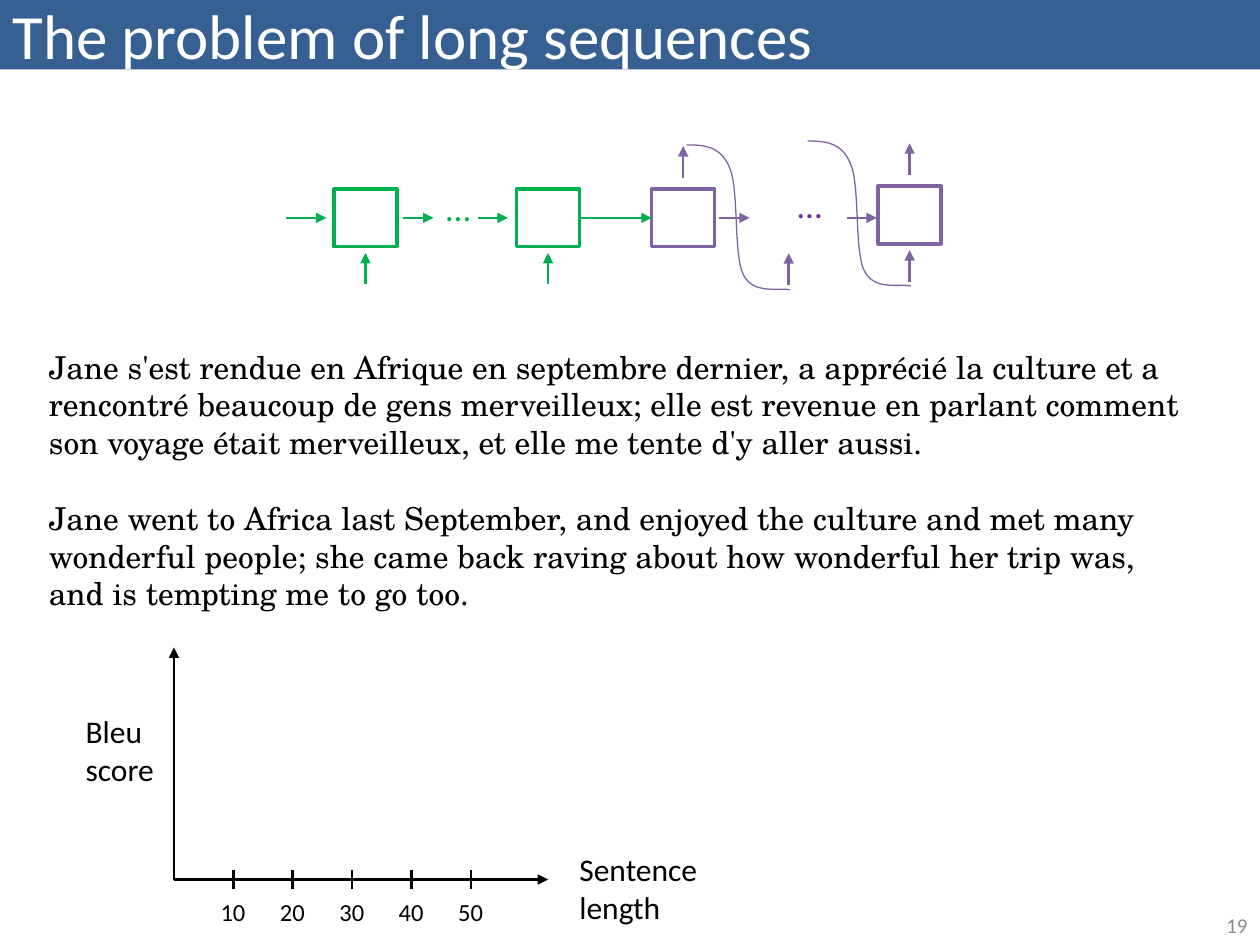
from dataclasses import dataclass

from lxml import etree
from pptx import Presentation
from pptx.dml.color import RGBColor
from pptx.enum.shapes import MSO_CONNECTOR, MSO_SHAPE
from pptx.enum.text import MSO_ANCHOR, MSO_AUTO_SIZE, PP_ALIGN
from pptx.oxml.ns import qn
from pptx.util import Pt

STRAIGHT = MSO_CONNECTOR.STRAIGHT
RECTANGLE = MSO_SHAPE.RECTANGLE
MIDDLE = MSO_ANCHOR.MIDDLE
LEFT, RIGHT = PP_ALIGN.LEFT, PP_ALIGN.RIGHT
LEFT_SIDE, RIGHT_SIDE = 1, 3


@dataclass(frozen=True)
class Theme:
    banner: str = "376092"
    white: str = "FFFFFF"
    black: str = "000000"
    encoder: str = "00B050"
    decoder: str = "8064A2"
    decoder_dots: str = "7030A0"
    muted: str = "8C8C8C"
    sans: str = "Calibri"
    serif: str = "TeX Gyre Schola"
    title: int = 36
    dots: int = 20
    body: int = 18
    tick: int = 14
    page: int = 12
    box_line: float = 2
    arrow_line: float = 1.5
    curve_line: float = 0.75


THEME = Theme()
CELL_WIDTH, CELL_HEIGHT = 36, 33
FLOW_Y = 124.5

SENTENCES = (
    "Jane s'est rendue en Afrique en septembre dernier, a apprécié la culture "
    "et a rencontré beaucoup de gens merveilleux; elle est revenue en parlant "
    "comment son voyage était merveilleux, et elle me tente d'y aller aussi.",
    "Jane went to Africa last September, and enjoyed the culture and met many "
    "wonderful people; she came back raving about how wonderful her trip was, "
    "and is tempting me to go too.",
)


def rgb(color):
    return RGBColor.from_string(color)


def write(frame, lines, size, color, font=THEME.sans, align=LEFT, gap=0):
    """Fill a text frame with one paragraph per line, `gap` points apart."""
    frame.text = "\n".join(lines)
    for index, paragraph in enumerate(frame.paragraphs):
        paragraph.alignment = align
        if gap and index:
            paragraph.space_before = Pt(gap)
        for run in paragraph.runs:
            run.font.size = Pt(size)
            run.font.name = font
            run.font.color.rgb = rgb(color)


def add_label(slide, left, top, width, height, lines, size, color,
              wrap=False, anchor=None, **style):
    frame = slide.shapes.add_textbox(
        Pt(left), Pt(top), Pt(width), Pt(height)).text_frame
    frame.word_wrap = wrap
    frame.auto_size = MSO_AUTO_SIZE.NONE
    if anchor is not None:
        frame.vertical_anchor = anchor
    write(frame, lines, size, color, **style)


def add_line(slide, start, end, color, arrow=True):
    line = slide.shapes.add_connector(
        STRAIGHT, Pt(start[0]), Pt(start[1]), Pt(end[0]), Pt(end[1]))
    line.line.color.rgb = rgb(color)
    line.line.width = Pt(THEME.arrow_line)
    if arrow:
        etree.SubElement(line.line._get_or_add_ln(), qn("a:tailEnd"),
                         type="triangle")
    etree.SubElement(line.element.spPr, qn("a:effectLst"))
    return line


def add_cell(slide, left, top, color, takes_input=False, gives_output=False):
    """Draw one network cell with its optional vertical arrows."""
    cell = slide.shapes.add_shape(
        RECTANGLE, Pt(left), Pt(top), Pt(CELL_WIDTH), Pt(CELL_HEIGHT))
    cell.shadow.inherit = False
    cell.fill.background()
    cell.line.color.rgb = rgb(color)
    cell.line.width = Pt(THEME.box_line)
    center, bottom = left + CELL_WIDTH / 2, top + CELL_HEIGHT
    if takes_input:
        add_line(slide, (center, bottom + 21.5), (center, bottom + 3.6), color)
    if gives_output:
        add_line(slide, (center, top - 6.5), (center, top - 24.5), color)
    return cell


def add_feedback(slide, left, top):
    """Draw the S-curve that carries an output down to the next input."""
    controls = ((10, 0), (19.5, 0.7), (24.5, 13), (30, 25.2), (26.6, 62.6),
                (32.4, 74.2), (38.2, 85.7), (52.5, 81.4), (59, 82.8))
    builder = slide.shapes.build_freeform(Pt(left), Pt(top))
    builder.add_line_segments(
        [(Pt(left + x), Pt(top + y)) for x, y in controls], close=False)
    curve = builder.convert_to_shape()
    curve.shadow.inherit = False
    curve.fill.background()
    curve.line.color.rgb = rgb(THEME.decoder)
    curve.line.width = Pt(THEME.curve_line)

    # The segments become Bezier control points; the frame ends at the last one.
    outline = next(curve.element.iter(qn("a:path")))
    segments = outline.findall(qn("a:lnTo"))
    for first in range(0, len(segments), 3):
        bezier = etree.SubElement(outline, qn("a:cubicBezTo"))
        for segment in segments[first:first + 3]:
            bezier.append(segment[0])
            outline.remove(segment)
    curve.height = Pt(controls[-1][1])
    outline.set("h", str(int(curve.height)))


def add_title(slide):
    banner = slide.shapes.add_shape(RECTANGLE, 0, 0, Pt(720), Pt(39.6))
    banner.shadow.inherit = False
    banner.fill.solid()
    banner.fill.fore_color.rgb = rgb(THEME.banner)
    banner.line.fill.background()
    banner.text_frame.vertical_anchor = MIDDLE
    write(banner.text_frame, ["The problem of long sequences"],
          THEME.title, THEME.white)


def add_network(slide):
    green, purple = THEME.encoder, THEME.decoder
    add_cell(slide, 190.8, 108, green, takes_input=True)
    last_encoder = add_cell(slide, 295.2, 108, green, takes_input=True)
    first_decoder = add_cell(slide, 372.4, 108, purple, gives_output=True)
    add_cell(slide, 501.8, 106.4, purple, takes_input=True, gives_output=True)

    for start, end, color in ((163.4, 186.5, green), (230.4, 247.7, green),
                              (272.9, 290.2, green), (411.1, 428.4, purple),
                              (483.8, 501.1, purple)):
        add_line(slide, (start, FLOW_Y), (end, FLOW_Y), color)
    handover = add_line(slide, (331.2, FLOW_Y), (372.4, FLOW_Y), green)
    handover.begin_connect(last_encoder, RIGHT_SIDE)
    handover.end_connect(first_decoder, LEFT_SIDE)

    add_line(slide, (450.7, 162.7), (450.7, 144.7), purple)
    add_feedback(slide, 392.4, 82.8)
    add_feedback(slide, 461.5, 80.6)

    for left, top, color in ((243.4, 103, green),
                             (444.2, 101.5, THEME.decoder_dots)):
        add_label(slide, left, top, 33.1, 31.7, [" …"], THEME.dots, color)


def add_score_axes(slide):
    origin_x, origin_y, tick_gap = 99.4, 502.6, 33.95
    black = THEME.black
    for end in ((origin_x, 370), (313.2, origin_y)):
        add_line(slide, (origin_x, origin_y), end, black)
    add_label(slide, 41.8, 403.2, 54, 51.1, ["Bleu", "score"],
              THEME.body, black)
    add_label(slide, 324, 482.4, 82.8, 51.1, ["Sentence", "length"],
              THEME.body, black)
    for step in range(1, 6):
        x = origin_x + step * tick_gap
        add_line(slide, (x, origin_y + 5.7), (x, origin_y - 5.7), black,
                 arrow=False)
        add_label(slide, x - 14.4, 509, 28.8, 24.5, [str(step * 10)],
                  THEME.tick, black)


def main():
    deck = Presentation()
    deck.slide_width, deck.slide_height = Pt(720), Pt(540)
    slide = deck.slides.add_slide(deck.slide_layouts[6])
    add_title(slide)
    add_network(slide)
    add_label(slide, 652.3, 517.7, 67.7, 22.3, ["19"], THEME.page, THEME.muted,
              wrap=True, anchor=MIDDLE, align=RIGHT)
    add_label(slide, 20.9, 195.1, 663.8, 159.8, SENTENCES, THEME.body,
              THEME.black, wrap=True, font=THEME.serif, gap=21.6)
    add_score_axes(slide)
    deck.save("out.pptx")


if __name__ == "__main__":
    main()
